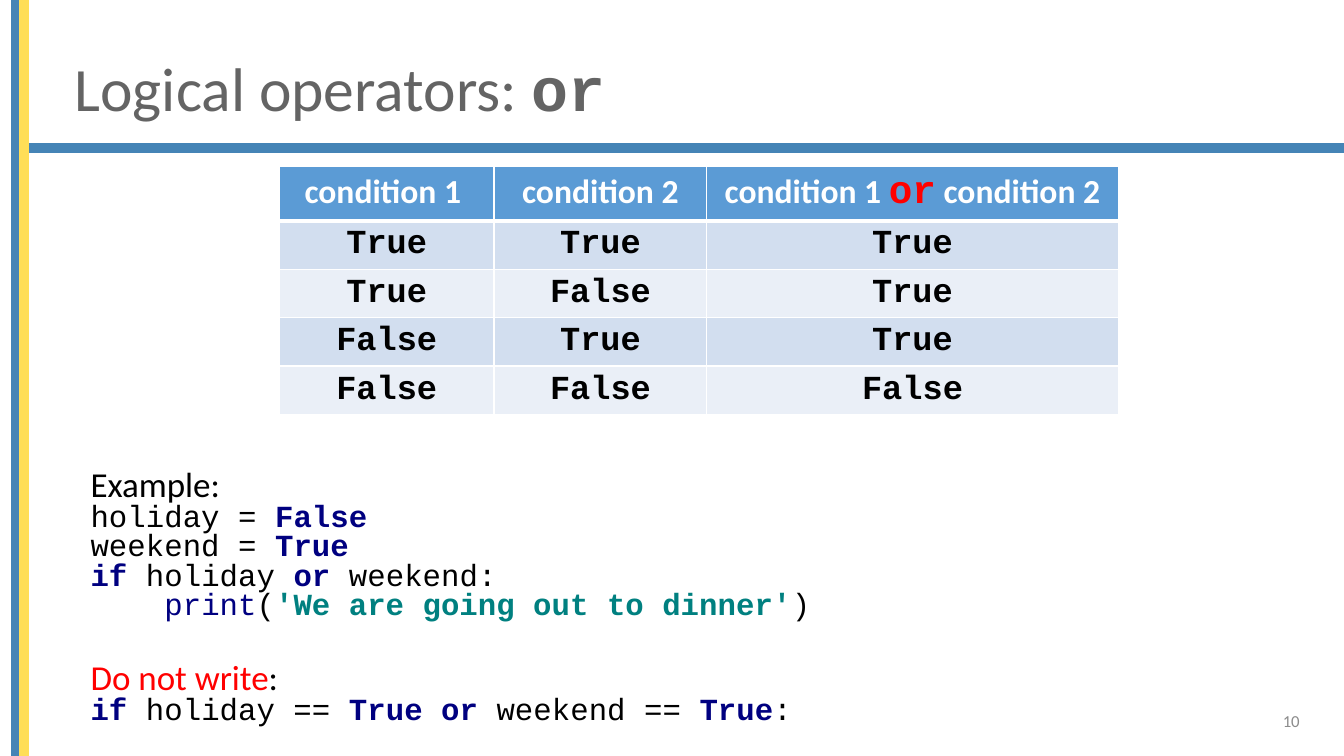
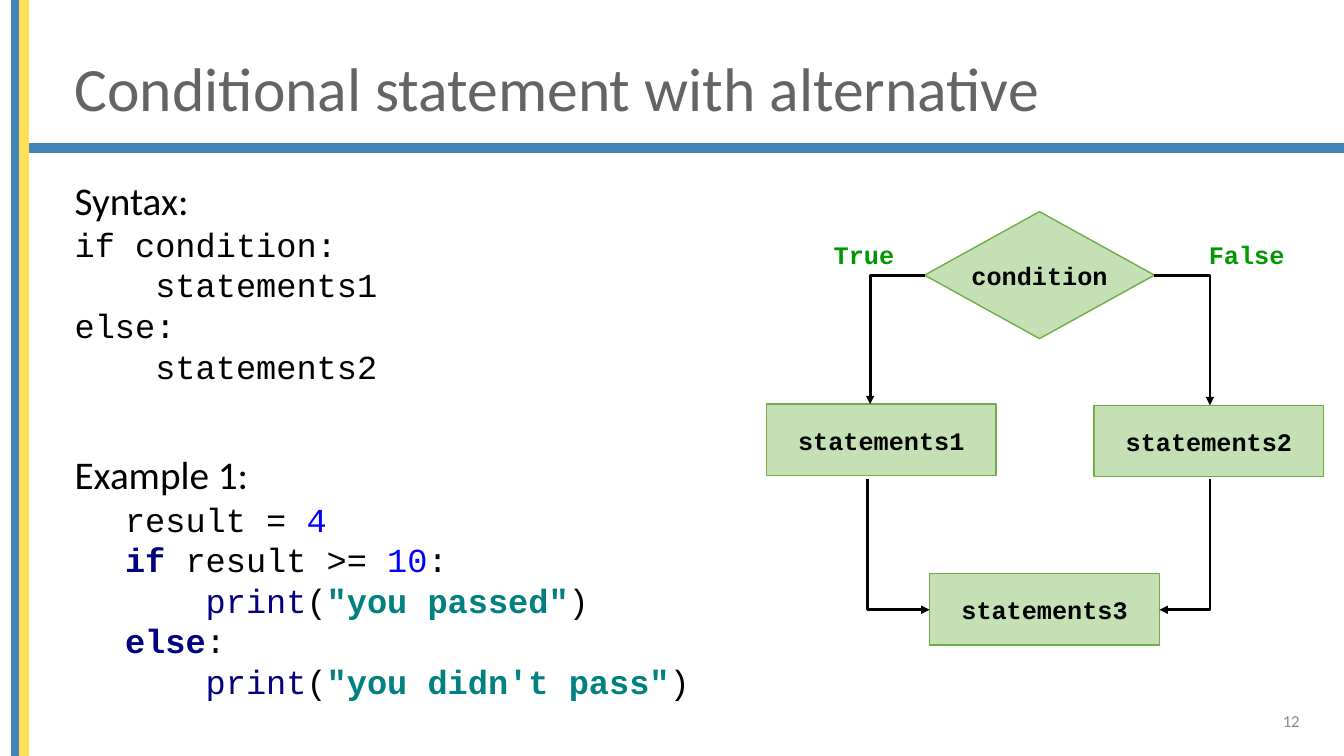
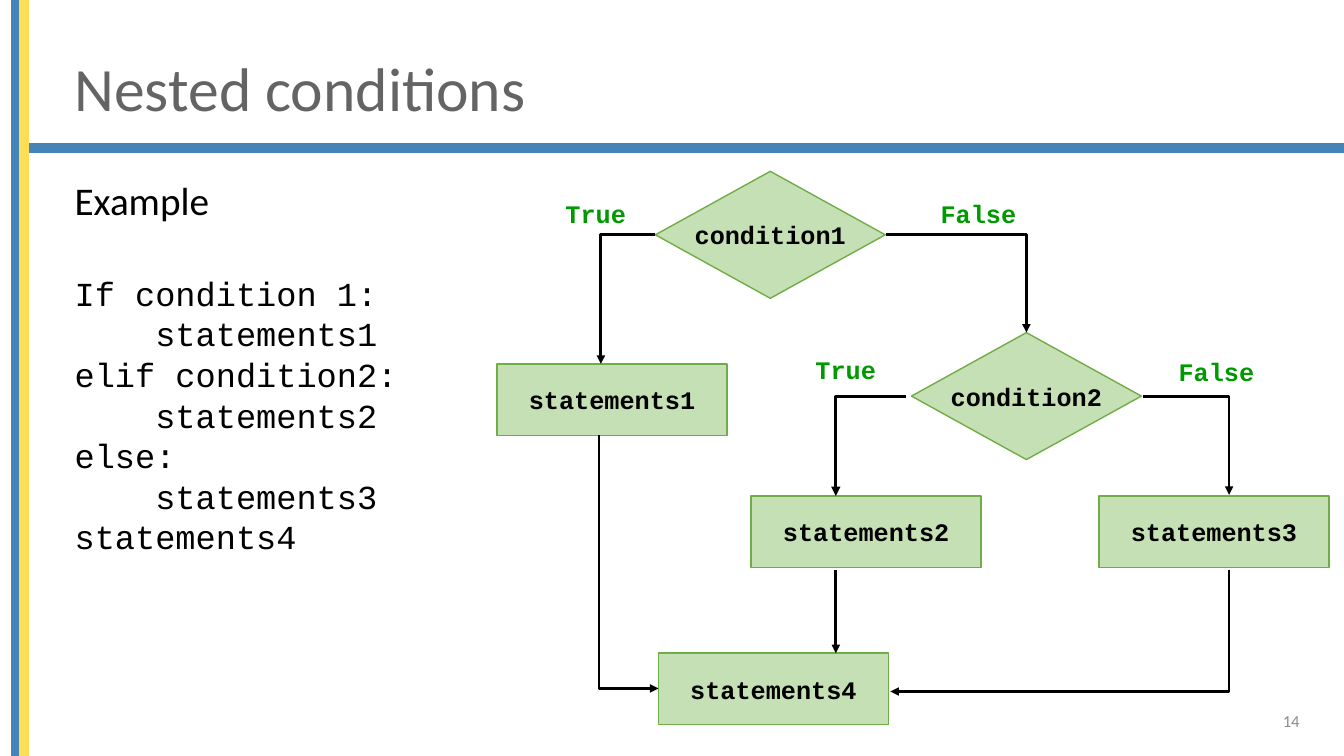
"""Build three slides on logical operators and conditional statements."""
from dataclasses import dataclass
from typing import NamedTuple, Optional, Sequence

from lxml.etree import SubElement
from pptx import Presentation
from pptx.dml.color import RGBColor
from pptx.enum.shapes import MSO_CONNECTOR as Connector, MSO_SHAPE as Preset
from pptx.enum.text import MSO_ANCHOR as Anchor, MSO_AUTO_SIZE as AutoSize, PP_ALIGN as Align
from pptx.oxml.ns import qn
from pptx.util import Inches, Pt


@dataclass(frozen=True)
class Theme:
    sans: str = "Calibri"
    mono: str = "Courier New"
    blue: str = "4584B6"
    yellow: str = "FFDE57"
    title: str = "646464"
    page: str = "8C8C8C"
    black: str = "000000"
    white: str = "FFFFFF"
    red: str = "FF0000"
    keyword: str = "000080"
    string: str = "008080"
    number: str = "0000FF"
    node_fill: str = "C5E0B4"
    node_line: str = "70AD47"
    branch: str = "009900"
    header: str = "5B9BD5"
    stripes: tuple = ("D2DEEF", "EAEFF7")
    title_size: float = 44
    heading_size: float = 28
    code_size: float = 24
    small_heading_size: float = 25
    small_code_size: float = 21.9
    table_size: float = 24
    flow_size: float = 18
    page_size: float = 12


THEME = Theme()
NODE_WIDTH, BOX_HEIGHT, DECISION_HEIGHT = 2.28, 0.71, 1.26


class Box(NamedTuple):
    left: float
    top: float
    width: float
    height: float

    def lengths(self) -> tuple:
        return tuple(Inches(value) for value in self)


class Run(NamedTuple):
    text: str
    color: str = THEME.black
    bold: bool = False
    font: str = THEME.mono
    size: Optional[float] = None


@dataclass(frozen=True)
class Line:
    runs: Sequence[Run]
    size: float
    spacing: object = 1.0
    before: float = 0
    indent: float = 0


class Node(NamedTuple):
    text: str
    left: float
    top: float
    decision: bool = False


class Label(NamedTuple):
    text: str
    left: float
    top: float


class Arrow(NamedTuple):
    start: tuple
    end: tuple
    vertical_first: bool = False
    width: float = 2


def keyword(text: str) -> Run:
    return Run(text, THEME.keyword, True)


def builtin(text: str) -> Run:
    return Run(text, THEME.keyword)


def string(text: str) -> Run:
    return Run(text, THEME.string, True)


def number(text: str) -> Run:
    return Run(text, THEME.number)


def sans(text: str, color: str = THEME.black, bold: bool = False) -> Run:
    return Run(text, color, bold, THEME.sans)


def heading(text: str, before: float = 0, spacing: float = 1.0) -> Line:
    return Line([sans(text)], THEME.heading_size, spacing, before)


def code(*runs: Run, before: float = 0, indent: float = 0) -> Line:
    return Line(runs, THEME.code_size, Pt(29), before, indent)


def small_code(*runs: Run) -> Line:
    return Line(runs, THEME.small_code_size, Pt(21))


def rgb(color: str) -> RGBColor:
    return RGBColor.from_string(color)


def add_runs(paragraph, runs: Sequence[Run], size: float) -> None:
    for item in runs:
        run = paragraph.add_run()
        run.text = item.text
        run.font.name = item.font
        run.font.size = Pt(item.size or size)
        run.font.bold = item.bold
        run.font.color.rgb = rgb(item.color)


def write_lines(frame, lines: Sequence[Line]) -> None:
    frame.word_wrap = True
    frame.auto_size = AutoSize.NONE
    for index, line in enumerate(lines):
        paragraph = frame.add_paragraph() if index else frame.paragraphs[0]
        properties = paragraph._p.get_or_add_pPr()
        properties.set("marL", str(Inches(line.indent)))
        properties.set("indent", "0")
        SubElement(properties, qn("a:buNone"))
        paragraph.alignment = Align.LEFT
        paragraph.line_spacing = line.spacing
        paragraph.space_before = Pt(line.before)
        paragraph.space_after = Pt(0)
        add_runs(paragraph, line.runs, line.size)


def place(shape, box: Box) -> None:
    shape.left, shape.top, shape.width, shape.height = box.lengths()


def add_filled(slide, preset, box: Box, fill: str, line: str):
    shape = slide.shapes.add_shape(preset, *box.lengths())
    shape.shadow.inherit = False
    shape.fill.solid()
    shape.fill.fore_color.rgb = rgb(fill)
    shape.line.color.rgb = rgb(line)
    shape.line.width = Pt(1)
    return shape


def add_master_bands(presentation, slide) -> None:
    bands = (
        (Box(0.19, 1.43, 13.15, 0.08), THEME.blue),
        (Box(0.12, 0, 0.08, 7.5), THEME.blue),
        (Box(0.2, 0, 0.08, 7.5), THEME.yellow),
    )
    tree = presentation.slide_master.shapes._spTree
    for index, (box, color) in enumerate(bands):
        band = add_filled(slide, Preset.RECTANGLE, box, color, color)
        tree.insert(2 + index, band._element)


def add_slide(presentation, layout: int, title: Sequence[Run], page: str):
    slide = presentation.slides.add_slide(presentation.slide_layouts[layout])
    place(slide.shapes.title, Box(0.64, 0.4, 11.78, 1.01))
    frame = slide.shapes.title.text_frame
    write_lines(frame, [Line(title, THEME.title_size, 0.9)])
    frame.vertical_anchor = Anchor.MIDDLE
    box = slide.shapes.add_textbox(*Box(9.99, 6.95, 3, 0.4).lengths())
    write_lines(box.text_frame, [Line([sans(page, THEME.page)], THEME.page_size)])
    box.text_frame.vertical_anchor = Anchor.MIDDLE
    box.text_frame.paragraphs[0].alignment = Align.RIGHT
    return slide


def add_body(slide, lines: Sequence[Line]) -> None:
    body = slide.placeholders[1]
    place(body, Box(0.64, 1.7, 12.35, 5.69))
    write_lines(body.text_frame, lines)
    body.text_frame.vertical_anchor = Anchor.TOP


def add_node(slide, node: Node) -> None:
    preset = Preset.FLOWCHART_DECISION if node.decision else Preset.RECTANGLE
    height = DECISION_HEIGHT if node.decision else BOX_HEIGHT
    box = Box(node.left, node.top, NODE_WIDTH, height)
    shape = add_filled(slide, preset, box, THEME.node_fill, THEME.node_line)
    frame = shape.text_frame
    frame.word_wrap = False
    frame.vertical_anchor = Anchor.MIDDLE
    frame.paragraphs[0].alignment = Align.CENTER
    add_runs(frame.paragraphs[0], [Run(node.text, bold=True)], THEME.flow_size)


def add_label(slide, label: Label) -> None:
    width = 0.2 + 0.15 * len(label.text)
    box = slide.shapes.add_textbox(*Box(label.left, label.top, width, 0.4).lengths())
    box.text_frame.word_wrap = False
    runs = [Run(label.text, THEME.branch, True)]
    add_runs(box.text_frame.paragraphs[0], runs, THEME.flow_size)


def bend(connector, arrow: Arrow) -> None:
    """Turn a connector into a downward one-corner route."""
    turns = {
        (False, True): (0, None),
        (False, False): (180, "flipV"),
        (True, True): (270, "flipH"),
        (True, False): (90, None),
    }
    (x1, y1), (x2, y2) = arrow.start, arrow.end
    width, height = abs(x2 - x1), abs(y2 - y1)
    if arrow.vertical_first:
        width, height = height, width
    place(connector, Box((x1 + x2 - width) / 2, (y1 + y2 - height) / 2, width, height))
    properties = connector._element.spPr
    properties.find(qn("a:prstGeom")).set("prst", "bentConnector2")
    transform = properties.find(qn("a:xfrm"))
    for name in ("flipH", "flipV"):
        transform.attrib.pop(name, None)
    degrees, flip = turns[arrow.vertical_first, x2 > x1]
    transform.set("rot", str(degrees * 60000))
    if flip:
        transform.set(flip, "1")


def add_arrow(slide, arrow: Arrow) -> None:
    straight = arrow.start[0] == arrow.end[0]
    kind = Connector.STRAIGHT if straight else Connector.ELBOW
    ends = [Inches(value) for value in (*arrow.start, *arrow.end)]
    connector = slide.shapes.add_connector(kind, *ends)
    if not straight:
        bend(connector, arrow)
    connector.line.color.rgb = rgb(THEME.black)
    connector.line.width = Pt(arrow.width)
    SubElement(connector.line._get_or_add_ln(), qn("a:tailEnd"), type="triangle")
    SubElement(connector._element.spPr, qn("a:effectLst"))


def add_flow(slide, nodes: Sequence[Node], labels: Sequence[Label], arrows: Sequence[Arrow]) -> None:
    for node in nodes:
        add_node(slide, node)
    for label in labels:
        add_label(slide, label)
    for arrow in arrows:
        add_arrow(slide, arrow)


def format_cell(cell, runs: Sequence[Run], fill: str, bottom: float) -> None:
    properties = cell._tc.get_or_add_tcPr()
    for side, width in (("L", 1), ("R", 1), ("T", 1), ("B", bottom)):
        border = SubElement(properties, qn(f"a:ln{side}"), w=str(Pt(width)))
        solid = SubElement(border, qn("a:solidFill"))
        SubElement(solid, qn("a:srgbClr"), val=THEME.white)
    cell.fill.solid()
    cell.fill.fore_color.rgb = rgb(fill)
    cell.margin_left = cell.margin_right = Inches(0.17)
    cell.margin_top = cell.margin_bottom = Inches(0.05)
    paragraph = cell.text_frame.paragraphs[0]
    paragraph.alignment = Align.CENTER
    add_runs(paragraph, runs, THEME.table_size)


def add_truth_table(slide) -> None:
    header = [
        [sans("condition 1 ", THEME.white, True)],
        [sans("condition 2", THEME.white, True)],
        [
            sans("condition 1 ", THEME.white, True),
            Run("or", THEME.red, True, size=28),
            sans(" condition 2", THEME.white, True),
        ],
    ]
    pairs = [(first, second) for first in (True, False) for second in (True, False)]
    values = [
        [[Run(str(value), bold=True)] for value in (first, second, first or second)]
        for first, second in pairs
    ]
    frame = slide.shapes.add_table(5, 3, *Box(2.77, 1.65, 8.32, 2.45).lengths())
    table = frame.table
    table.first_row = table.horz_banding = False
    for column, width in zip(table.columns, (2.13, 2.11, 4.08)):
        column.width = Inches(width)
    for index, row in enumerate([header, *values]):
        table.rows[index].height = Inches(0.48 if index else 0.53)
        fill = THEME.stripes[(index - 1) % 2] if index else THEME.header
        for column, runs in enumerate(row):
            format_cell(table.cell(index, column), runs, fill, 1 if index else 3)


def build_or_slide(presentation) -> None:
    title = [sans("Logical operators: ", THEME.title), Run("or", THEME.title, True)]
    slide = add_slide(presentation, 5, title, "10")
    add_master_bands(presentation, slide)
    add_truth_table(slide)
    example = slide.shapes.add_textbox(*Box(0.8, 4.62, 12.18, 2.88).lengths())
    warning = [sans("Do not write", THEME.red), sans(":")]
    write_lines(example.text_frame, [
        Line([sans("Example:")], THEME.small_heading_size, 0.8),
        small_code(Run("holiday = "), keyword("False")),
        small_code(Run("weekend = "), keyword("True")),
        small_code(keyword("if "), Run("holiday "), keyword("or "), Run("weekend:")),
        small_code(Run("    "), builtin("print"), Run("("),
                   string("'We are going out to dinner'"), Run(")")),
        Line(warning, THEME.small_heading_size, before=24),
        small_code(keyword("if "), Run("holiday == "), keyword("True or "),
                   Run("weekend == "), keyword("True"), Run(":")),
    ])


def build_alternative_slide(presentation) -> None:
    title = [sans("Conditional statement with alternative", THEME.title)]
    slide = add_slide(presentation, 1, title, "12")
    syntax = ("if condition:", "    statements1", "else:", "    statements2")
    example = (
        (Run("result = "), number("4")),
        (keyword("if "), Run("result >= "), number("10"), Run(":")),
        (Run("    "), builtin("print"), Run("("), string('"you passed"'), Run(")")),
        (keyword("else"), Run(":")),
        (Run("    "), builtin("print"), Run("("), string('"you didn\'t pass"'), Run(")")),
    )
    add_body(slide, [
        heading("Syntax:"),
        *(code(Run(text)) for text in syntax),
        heading("Example 1:", before=50, spacing=0.9),
        *(code(*runs, indent=0.5) for runs in example),
    ])
    add_flow(
        slide,
        [Node("condition", 9.17, 2.1, True), Node("statements1", 7.6, 4.01),
         Node("statements2", 10.85, 4.02), Node("statements3", 9.22, 5.69)],
        [Label("True", 8.17, 2.33), Label("False", 11.89, 2.33)],
        [Arrow((11.45, 2.73), (12, 4.02)), Arrow((9.17, 2.73), (8.63, 4.01)),
         Arrow((8.6, 4.75), (9.22, 6.05), True), Arrow((12, 4.75), (11.5, 6.05), True)],
    )


def build_nested_slide(presentation) -> None:
    slide = add_slide(presentation, 1, [sans("Nested conditions", THEME.title)], "14")
    branches = ("    statements1", "elif condition2:", "    statements2", "else:",
                "    statements3", "statements4")
    add_body(slide, [
        heading("Example"),
        code(Run("If condition 1:"), before=35),
        *(code(Run(text)) for text in branches),
    ])
    add_flow(
        slide,
        [Node("condition1", 6.5, 1.7, True), Node("condition2", 9.04, 3.3, True),
         Node("statements1", 4.93, 3.61), Node("statements2", 7.45, 4.92),
         Node("statements3", 10.9, 4.92), Node("statements4", 6.53, 6.48)],
        [Label("True", 5.51, 1.92), Label("False", 9.23, 1.92),
         Label("True", 7.99, 3.47), Label("False", 11.59, 3.49)],
        [Arrow((8.79, 2.33), (10.18, 3.3)), Arrow((6.5, 2.33), (5.96, 3.61)),
         Arrow((11.34, 3.93), (12.19, 4.91)), Arrow((8.99, 3.93), (8.29, 4.92), width=2.25),
         Arrow((5.94, 4.32), (6.53, 6.83), True), Arrow((12.19, 5.65), (8.83, 6.86), True),
         Arrow((8.29, 5.65), (8.29, 6.48))],
    )


def main() -> None:
    presentation = Presentation()
    presentation.slide_width, presentation.slide_height = Inches(13.33), Inches(7.5)
    build_or_slide(presentation)
    build_alternative_slide(presentation)
    build_nested_slide(presentation)
    presentation.save("out.pptx")


if __name__ == "__main__":
    main()
